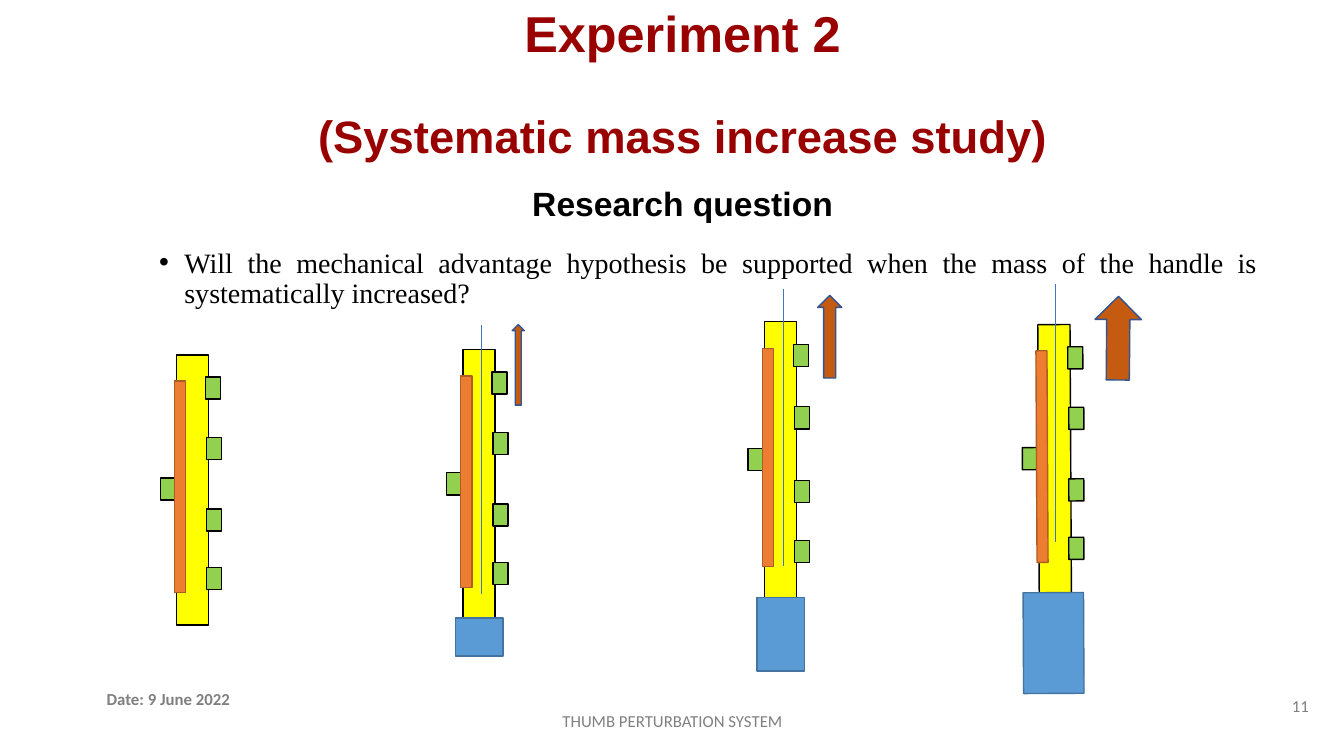
from lxml import etree
from pptx import Presentation
from pptx.dml.color import RGBColor
from pptx.enum.shapes import MSO_CONNECTOR, MSO_SHAPE
from pptx.enum.text import MSO_ANCHOR, MSO_AUTO_SIZE, PP_ALIGN
from pptx.oxml.ns import qn
from pptx.util import Inches, Pt

COLORS = {
    "title": "990000", "text": "000000", "footer": "808080",
    "handle": "FFFF00", "finger": "92D050", "outline": "000000",
    "bar": "ED7D31", "bar_line": "AF5C24",
    "mass": "5B9BD5", "mass_line": "43739E",
    "arrow": "C55A11", "arrow_line": "325491", "axis": "4472C4",
}
HANDLE_H = 2.68
FINGERS = [(0.29, 0.22), (0.3, 0.82), (0.3, 1.53), (0.3, 2.11)]

# left, top, height, rotation, mass (dx, width, height),
# axis (dx, dy, length), arrow (dx, dy, width, height, rotation)
HANDLES = [
    (1.75, 3.52, 2.68, 0, None, None, None),
    (4.59, 3.47, 2.68, 0, (-0.07, 0.47, 0.38), (0.18, -0.25, 2.67),
     (0.49, -0.25, 0.12, 0.8, 0)),
    (7.58, 3.19, 2.76, 0, (-0.07, 0.47, 0.73), (0.19, -0.32, 2.75),
     (0.53, -0.26, 0.24, 0.82, 0)),
    (10.3, 3.22, 2.68, -0.3, (-0.15, 0.6, 1), (0.17, -0.4, 2.56),
     (0.56, -0.28, 0.46, 0.83, 0.5)),
]


def rgb(name):
    return RGBColor.from_string(COLORS[name])


def style(p, font, size, color, bold=False, align=PP_ALIGN.LEFT):
    p.alignment = align
    for r in p.runs:
        r.font.name, r.font.size, r.font.bold = font, Pt(size), bold
        r.font.color.rgb = rgb(color)


def add_text(slide, box, text, anchor=MSO_ANCHOR.TOP, **fmt):
    tf = slide.shapes.add_textbox(*map(Inches, box)).text_frame
    tf.word_wrap = True
    tf.vertical_anchor = anchor
    tf.text = text
    p = tf.paragraphs[0]
    style(p, **fmt)
    return p


def add_block(slide, box, fill, line, rotation=0, kind=MSO_SHAPE.RECTANGLE):
    sp = slide.shapes.add_shape(kind, *map(Inches, box))
    sp.shadow.inherit = False
    sp.fill.solid()
    sp.fill.fore_color.rgb = rgb(fill)
    sp.line.color.rgb = rgb(line)
    sp.line.width = Pt(1)
    sp.rotation = rotation


def add_title(slide, box):
    title = slide.shapes.title
    title.left, title.top, title.width, title.height = map(Inches, box)
    tf = title.text_frame
    tf.auto_size = MSO_AUTO_SIZE.NONE
    tf.word_wrap = True
    tf.vertical_anchor = MSO_ANCHOR.MIDDLE
    tf.text = "Experiment 2\n(Systematic mass increase study)"
    for p, size in zip(tf.paragraphs, (36, 32.4)):
        style(p, "Arial", size, "title", True, PP_ALIGN.CENTER)
        p.line_spacing = 0.9
        p.space_before = Pt(0)
    tf.paragraphs[1].space_before = Pt(37)


def add_question(slide, box):
    left, top, width, height = box
    p = add_text(slide, (1.02, top, 11.5, 0.6), "Research question",
                 font="Arial", size=24, color="text", bold=True,
                 align=PP_ALIGN.CENTER)
    p.line_spacing = 0.9
    p = add_text(slide, (left, top + 0.61, width, height - 0.61),
                 "Will the mechanical advantage hypothesis be supported when "
                 "the mass of the handle is systematically increased?",
                 font="Times New Roman", size=20, color="text",
                 align=PP_ALIGN.JUSTIFY)
    p.line_spacing = 0.9
    # Hanging bullet
    pPr = p._p.get_or_add_pPr()
    pPr.set("marL", str(Inches(0.25)))
    pPr.set("indent", str(-Inches(0.25)))
    etree.SubElement(pPr, qn("a:buFont")).set("typeface", "Arial")
    etree.SubElement(pPr, qn("a:buChar")).set("char", "•")


def add_handle(slide, box, rotation, mass, axis, arrow):
    left, top, width, height = box
    scale = height / HANDLE_H

    def part(dx, dy, w, h, fill, line):
        add_block(slide, (left + dx, top + dy * scale, w, h), fill, line,
                  rotation)

    # Handle, thumb, fingers and sliding bar
    part(0, 0, width, height, "handle", "outline")
    part(-0.16, 1.22, 0.17, 0.22, "finger", "outline")
    for dx, dy in FINGERS:
        part(dx, dy, 0.15, 0.22, "finger", "outline")
    part(-0.02, 0.26, 0.11, 2.1 * scale, "bar", "bar_line")

    # Added mass, vertical axis and load arrow
    if mass:
        dx, w, h = mass
        part(dx, HANDLE_H - 0.02, w, h, "mass", "mass_line")
    if axis:
        dx, dy, length = axis
        x, y = left + dx, top + dy
        line = slide.shapes.add_connector(
            MSO_CONNECTOR.STRAIGHT, *map(Inches, (x, y, x, y + length)))
        line.line.color.rgb = rgb("axis")
        line.line.width = Pt(0.5)
        etree.SubElement(line._element.spPr, qn("a:effectLst"))
    if arrow:
        dx, dy, w, h, turn = arrow
        add_block(slide, (left + dx, top + dy, w, h), "arrow", "arrow_line",
                  turn, MSO_SHAPE.UP_ARROW)


def add_footer(slide, top):
    items = [
        ((0.96, top, 2.2, 0.4), "Date: 9 June 2022", True, PP_ALIGN.LEFT),
        ((4.42, top + 0.22, 4.5, 0.4), "THUMB PERTURBATION SYSTEM", False,
         PP_ALIGN.CENTER),
        ((10.08, top + 0.07, 3, 0.4), "11", False, PP_ALIGN.RIGHT),
    ]
    for box, text, bold, align in items:
        add_text(slide, box, text, MSO_ANCHOR.MIDDLE, font="Calibri",
                 size=12, color="footer", bold=bold, align=align)


def main():
    prs = Presentation()
    prs.slide_width, prs.slide_height = Inches(13.33), Inches(7.5)
    slide = prs.slides.add_slide(prs.slide_layouts[5])
    add_title(slide, (1.02, 0.13, 11.5, 1.45))
    add_footer(slide, 6.73)
    add_question(slide, (1.48, 1.81, 11.09, 1.4))
    for left, top, height, *parts in HANDLES:
        add_handle(slide, (left, top, 0.32, height), *parts)
    prs.save("out.pptx")


if __name__ == "__main__":
    main()
